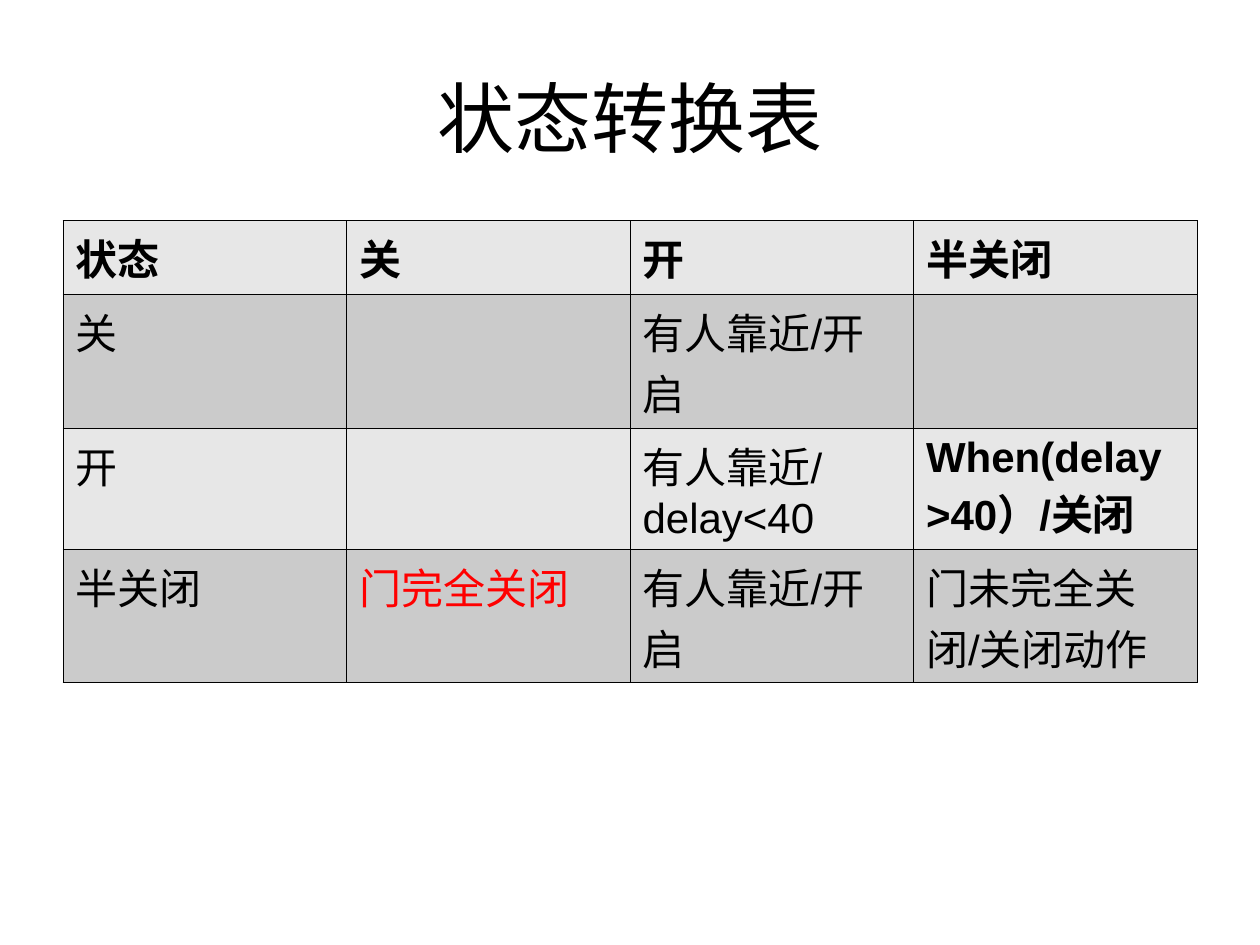
import pptx
import pptx.dml.color
import pptx.enum.text
import pptx.oxml
import pptx.oxml.ns
import pptx.util
from pptx.util import Inches

BLACK = pptx.dml.color.RGBColor(0x00, 0x00, 0x00)
RED = pptx.dml.color.RGBColor(0xFF, 0x00, 0x00)
LIGHT_GRAY = pptx.dml.color.RGBColor(0xE7, 0xE7, 0xE7)
MID_GRAY = pptx.dml.color.RGBColor(0xCB, 0xCB, 0xCB)

FONT = "Arial"
BORDER_WIDTH = pptx.util.Pt(0.45)

TITLE = "状态转换表"
TRANSITIONS = [
    ["状态", "关", "开", "半关闭"],
    ["关", "", "有人靠近/开启", ""],
    ["开", "", "有人靠近/delay<40", "When(delay>40）/关闭"],
    ["半关闭", "门完全关闭", "有人靠近/开启", "门未完全关闭/关闭动作"],
]
CELL_FORMATS = {(2, 3): {"bold": True}, (3, 1): {"color": RED}}
HEADER_FORMAT = {"bold": True}

LEFT, WIDTH = 0.5, 9
TABLE_TOP = 1.75
ROW_HEIGHTS = [0.59, 1.06, 0.96, 1.06]


def write_text(frame, text, size=24, bold=False, color=BLACK, align=None):
    frame.word_wrap = True
    paragraph = frame.paragraphs[0]
    paragraph.alignment = align
    run = paragraph.add_run()
    run.text = text
    run.font.name = FONT
    run.font.size = pptx.util.Pt(size)
    run.font.bold = bold
    run.font.color.rgb = color


def add_borders(cell):
    """Draw a thin line on all four sides; borders must precede the fill."""
    properties = cell._tc.get_or_add_tcPr()
    for position, side in enumerate(("lnL", "lnR", "lnT", "lnB")):
        line = pptx.oxml.parse_xml(
            f'<a:{side} {pptx.oxml.ns.nsdecls("a")} w="{BORDER_WIDTH}">'
            f'<a:solidFill><a:srgbClr val="{BLACK}"/></a:solidFill></a:{side}>'
        )
        properties.insert(position, line)


def add_title(slide):
    title = slide.shapes.add_textbox(
        Inches(LEFT), Inches(0.3), Inches(WIDTH), Inches(1.25))
    title.text_frame.vertical_anchor = pptx.enum.text.MSO_ANCHOR.MIDDLE
    write_text(title.text_frame, TITLE, size=44,
               align=pptx.enum.text.PP_ALIGN.CENTER)


def add_transition_table(slide):
    column_count = len(TRANSITIONS[0])
    table = slide.shapes.add_table(
        len(TRANSITIONS), column_count, Inches(LEFT), Inches(TABLE_TOP),
        Inches(WIDTH), Inches(sum(ROW_HEIGHTS))).table
    for column in table.columns:
        column.width = Inches(WIDTH / column_count)
    for row_index, texts in enumerate(TRANSITIONS):
        table.rows[row_index].height = Inches(ROW_HEIGHTS[row_index])
        for column_index, text in enumerate(texts):
            cell = table.cell(row_index, column_index)
            cell.fill.solid()
            cell.fill.fore_color.rgb = MID_GRAY if row_index % 2 else LIGHT_GRAY
            cell.margin_left = cell.margin_right = Inches(0.1)
            cell.margin_top = cell.margin_bottom = Inches(0.05)
            add_borders(cell)
            default = HEADER_FORMAT if row_index == 0 else {}
            if text:
                text_format = CELL_FORMATS.get((row_index, column_index), default)
                write_text(cell.text_frame, text, **text_format)


def main():
    presentation = pptx.Presentation()
    presentation.slide_width = Inches(10)
    presentation.slide_height = Inches(7.5)
    slide = presentation.slides.add_slide(presentation.slide_layouts[6])
    add_title(slide)
    add_transition_table(slide)
    presentation.save("out.pptx")


if __name__ == "__main__":
    main()
